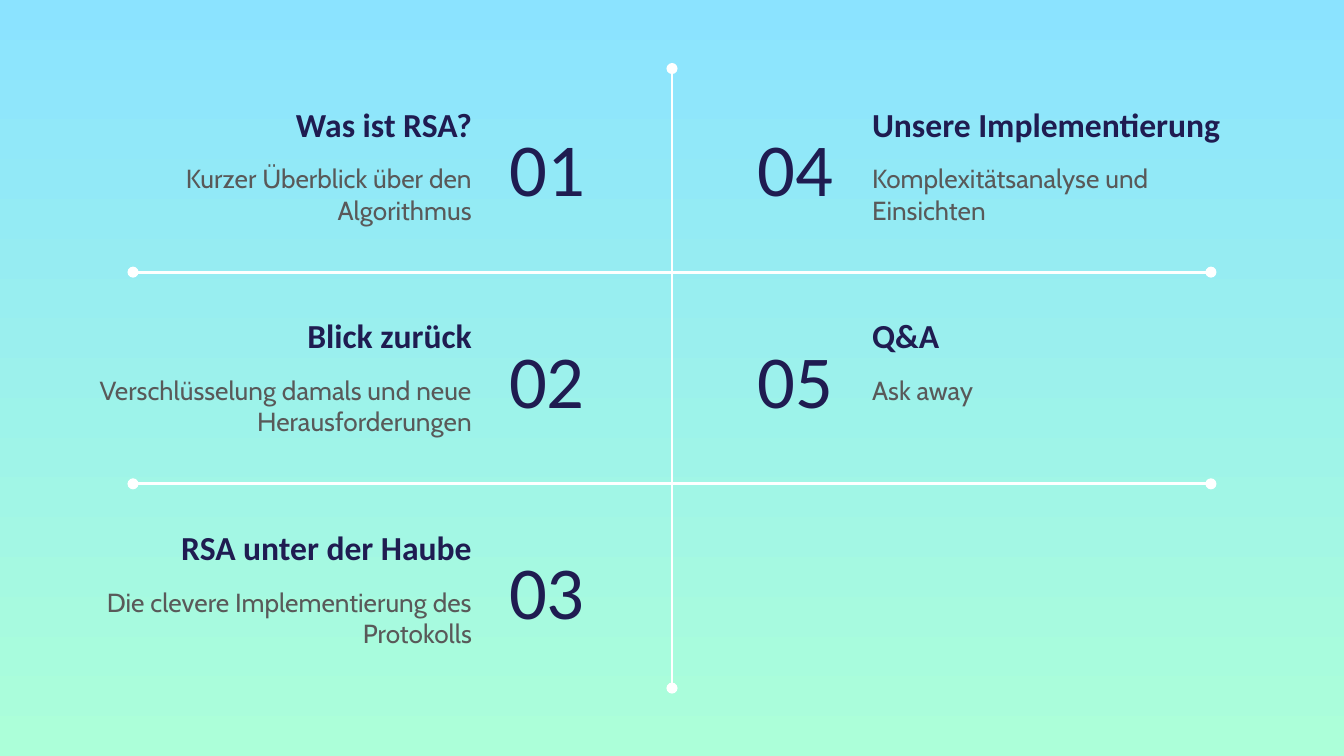
import pptx
import pptx.dml.color
import pptx.enum.shapes
import pptx.enum.text
import pptx.util
from lxml import etree
from pptx.oxml.ns import qn

Inches = pptx.util.Inches
ALIGN = pptx.enum.text.PP_ALIGN
ANCHOR = pptx.enum.text.MSO_ANCHOR
NAVY, GREY, WHITE = "1F1C51", "595959", "FFFFFF"
SLIDE_WIDTH = 10
SLIDE_HEIGHT = SLIDE_WIDTH * 9 / 16


def paint(color_format, hex_color):
    color_format.rgb = pptx.dml.color.RGBColor.from_string(hex_color)


def write(text, left, top, width, height, size, font="Calibri", color=NAVY, bold=False,
          align=ALIGN.LEFT, anchor=ANCHOR.TOP, shape=None):
    """Fill the given shape, or a new text box, with one formatted paragraph."""
    box = [Inches(length) for length in (left, top, width, height)]
    if shape is None:
        shape = slide.shapes.add_textbox(*box)
    shape.left, shape.top, shape.width, shape.height = box
    frame = shape.text_frame
    frame.word_wrap = True
    frame.auto_size = pptx.enum.text.MSO_AUTO_SIZE.NONE
    frame.vertical_anchor = anchor
    frame.margin_left = frame.margin_right = Inches(0.1)
    frame.margin_top = frame.margin_bottom = Inches(0.1)
    paragraph = frame.paragraphs[0]
    paragraph.alignment = align
    run = paragraph.add_run()
    run.text = text
    run.font.name, run.font.size, run.font.bold = font, pptx.util.Pt(size), bold
    paint(run.font.color, color)


presentation = pptx.Presentation()
presentation.slide_width, presentation.slide_height = Inches(SLIDE_WIDTH), Inches(SLIDE_HEIGHT)
slide = presentation.slides.add_slide(presentation.slide_layouts.get_by_name("Title Only"))

background = slide.background.fill
background.gradient()
background.gradient_angle = 270
for stop, hex_color, position in zip(background.gradient_stops, ("8BE3FF", "ACFFD9"), (0, 1)):
    paint(stop.color, hex_color)
    stop.position = position

# Grid: two mirrored columns, three rows
ROW_TOP, ROW_HEIGHT = 0.08 * SLIDE_HEIGHT, 0.28 * SLIDE_HEIGHT
CENTER, LINE_LEFT, LINE_RIGHT = SLIDE_WIDTH / 2, 0.99, 9.01
row_lines = [ROW_TOP + ROW_HEIGHT * row for row in (1, 2)]

lines = [(CENTER, 0.51, CENTER, 5.12)]
lines += [(LINE_LEFT, y, LINE_RIGHT, y) for y in row_lines]
for ends in lines:
    connector = slide.shapes.add_connector(
        pptx.enum.shapes.MSO_CONNECTOR.STRAIGHT, *[Inches(length) for length in ends])
    connector.line.width = pptx.util.Pt(1.5)
    paint(connector.line.color, WHITE)
    line_properties = connector.line._get_or_add_ln()
    for end in ("a:headEnd", "a:tailEnd"):
        etree.SubElement(line_properties, qn(end), type="oval")
    etree.SubElement(connector._element.spPr, qn("a:effectLst"))

# Each column: left of number, left of text, alignment of number, alignment of text, topics
columns = [
    (3.69, 0.63, ALIGN.LEFT, ALIGN.RIGHT, [
        ("Was ist RSA?", "Kurzer Überblick über den Algorithmus"),
        ("Blick zurück", "Verschlüsselung damals und neue Herausforderungen"),
        ("RSA unter der Haube", "Die clevere Implementierung des Protokolls")]),
    (CENTER, 6.39, ALIGN.RIGHT, ALIGN.LEFT, [
        ("Unsere Implementierung", "Komplexitätsanalyse und Einsichten"),
        ("Q&A", "Ask away")]),
]

number = 0
for number_left, text_left, number_align, text_align, topics in columns:
    for row, (heading, description) in enumerate(topics):
        number += 1
        top = ROW_TOP + ROW_HEIGHT * row
        write(f"{number:02}", number_left, top + 0.36, 1.3, 0.86, size=40, align=number_align,
              anchor=ANCHOR.MIDDLE, shape=slide.shapes.title if number == 1 else None)
        write(heading, text_left, top + 0.22, 2.98, 0.5, size=18, bold=True,
              align=text_align, anchor=ANCHOR.BOTTOM)
        write(description, text_left, top + 0.66, 2.98, 0.69, size=14, font="Cabin",
              color=GREY, align=text_align)

presentation.save("out.pptx")
